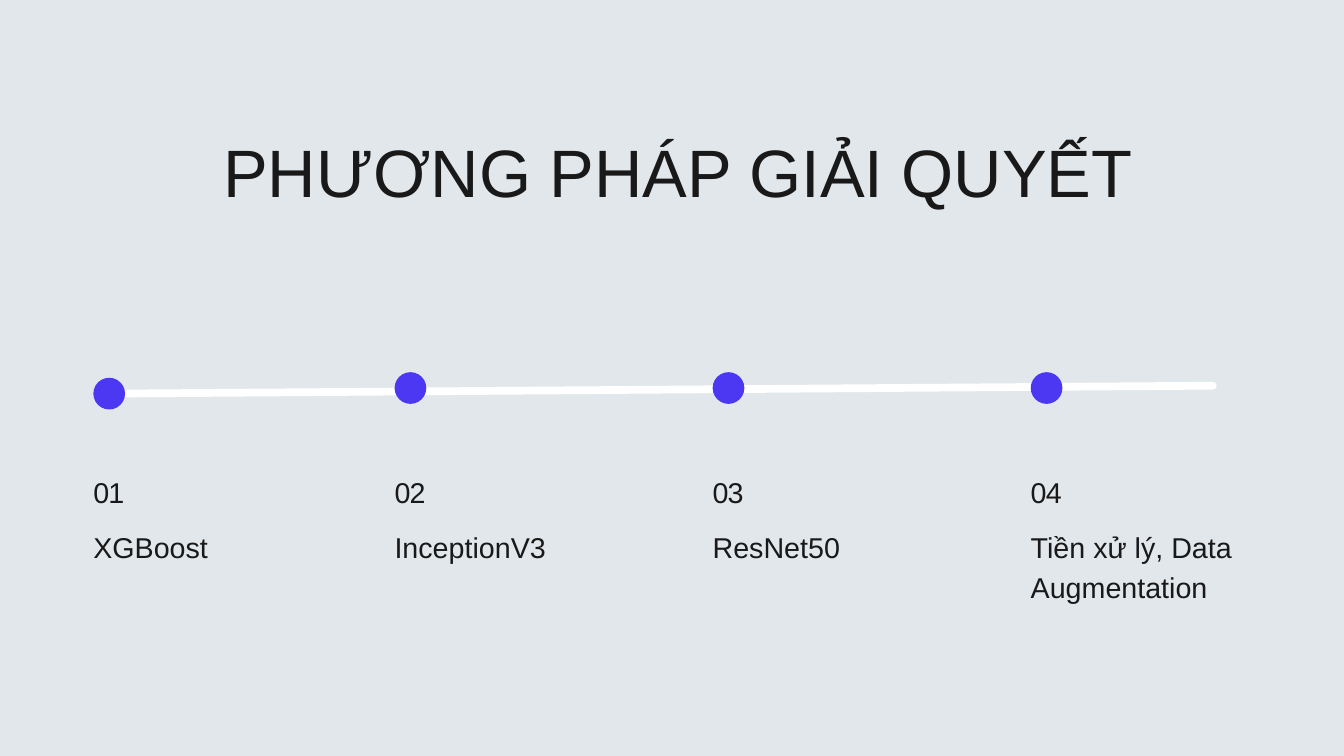
"""Build a slide with a four-step timeline of solution methods."""
from dataclasses import dataclass

from lxml import etree
from pptx import Presentation
from pptx.dml.color import RGBColor
from pptx.enum.shapes import MSO_CONNECTOR, MSO_SHAPE
from pptx.enum.text import MSO_ANCHOR, MSO_AUTO_SIZE, PP_ALIGN
from pptx.oxml.ns import qn
from pptx.slide import Slide
from pptx.text.text import TextFrame
from pptx.util import Pt

STRAIGHT = MSO_CONNECTOR.STRAIGHT
OVAL = MSO_SHAPE.OVAL
TOP = MSO_ANCHOR.TOP
NO_AUTOFIT = MSO_AUTO_SIZE.NONE
LEFT, CENTER = PP_ALIGN.LEFT, PP_ALIGN.CENTER


@dataclass(frozen=True)
class Theme:
    """Colours, font and type sizes."""

    background: RGBColor = RGBColor(0xE2, 0xE7, 0xEB)
    ink: RGBColor = RGBColor(0x19, 0x19, 0x19)
    accent: RGBColor = RGBColor(0x4C, 0x38, 0xF2)
    track: RGBColor = RGBColor(0xFF, 0xFF, 0xFF)
    font: str = "Arial"
    title_size: float = 71.8
    label_size: float = 30.7


@dataclass(frozen=True)
class Step:
    """One method on the timeline."""

    number: str
    method: str
    left: float
    dot_top: float = 398.75
    width: float = 252


THEME = Theme()
DOT_SIZE = 34
SECOND_LEFT, STEP_GAP = 422.75, 340.8
STEPS = [
    Step("01", "XGBoost", 100, dot_top=404.75, width=289),
    *(
        Step(number, method, SECOND_LEFT + index * STEP_GAP)
        for index, (number, method) in enumerate([
            ("02", "InceptionV3"),
            ("03", "ResNet50"),
            ("04", "Tiền xử lý, Data Augmentation"),
        ])
    ),
]


def write(frame: TextFrame, text: str, size: float, leading: float,
          align: PP_ALIGN = LEFT, tracking: int = 0) -> None:
    """Put one formatted run in a frame without margins."""
    frame.margin_left = frame.margin_right = 0
    frame.margin_top = frame.margin_bottom = 0
    frame.word_wrap = True
    frame.auto_size = NO_AUTOFIT
    frame.vertical_anchor = TOP
    paragraph = frame.paragraphs[0]
    paragraph.alignment = align
    paragraph.line_spacing = Pt(leading)
    run = paragraph.add_run()
    run.text = text
    run.font.name = THEME.font
    run.font.size = Pt(size)
    run.font.color.rgb = THEME.ink
    if tracking:
        run.font._element.set("spc", str(tracking))


def draw_title(slide: Slide, text: str) -> None:
    """Place the heading in the title placeholder."""
    title = slide.shapes.title
    title.left, title.top = Pt(201), Pt(133)
    title.width, title.height = Pt(1051), Pt(91)
    write(title.text_frame, text, THEME.title_size, 93.4, CENTER)


def draw_track(slide: Slide) -> None:
    """Draw the round-ended line that joins the steps."""
    track = slide.shapes.add_connector(
        STRAIGHT, Pt(117), Pt(421.75), Pt(1299.5), Pt(413.25))
    track.line.color.rgb = THEME.track
    track.line.width = Pt(8.25)
    track.line._get_or_add_ln().set("cap", "rnd")
    etree.SubElement(track._element.spPr, qn("a:effectLst"))


def draw_step(slide: Slide, step: Step) -> None:
    """Draw a dot with its number and method below."""
    dot = slide.shapes.add_shape(
        OVAL, Pt(step.left), Pt(step.dot_top), Pt(DOT_SIZE), Pt(DOT_SIZE))
    dot.shadow.inherit = False
    dot.fill.solid()
    dot.fill.fore_color.rgb = THEME.accent
    dot.line.fill.background()

    number = slide.shapes.add_textbox(
        Pt(step.left), Pt(506), Pt(step.width), Pt(38))
    write(number.text_frame, step.number, THEME.label_size, 39.9, tracking=-90)
    method = slide.shapes.add_textbox(
        Pt(step.left), Pt(561.5), Pt(step.width), Pt(82))
    write(method.text_frame, step.method, THEME.label_size, 43)


def main() -> None:
    """Assemble and save the slide."""
    deck = Presentation()
    deck.slide_width, deck.slide_height = Pt(1440), Pt(810)
    slide = deck.slides.add_slide(deck.slide_layouts.get_by_name("Title Only"))
    slide.background.fill.solid()
    slide.background.fill.fore_color.rgb = THEME.background
    draw_title(slide, "PHƯƠNG PHÁP GIẢI QUYẾT")
    draw_track(slide)
    for step in STEPS:
        draw_step(slide, step)
    deck.save("out.pptx")


if __name__ == "__main__":
    main()
